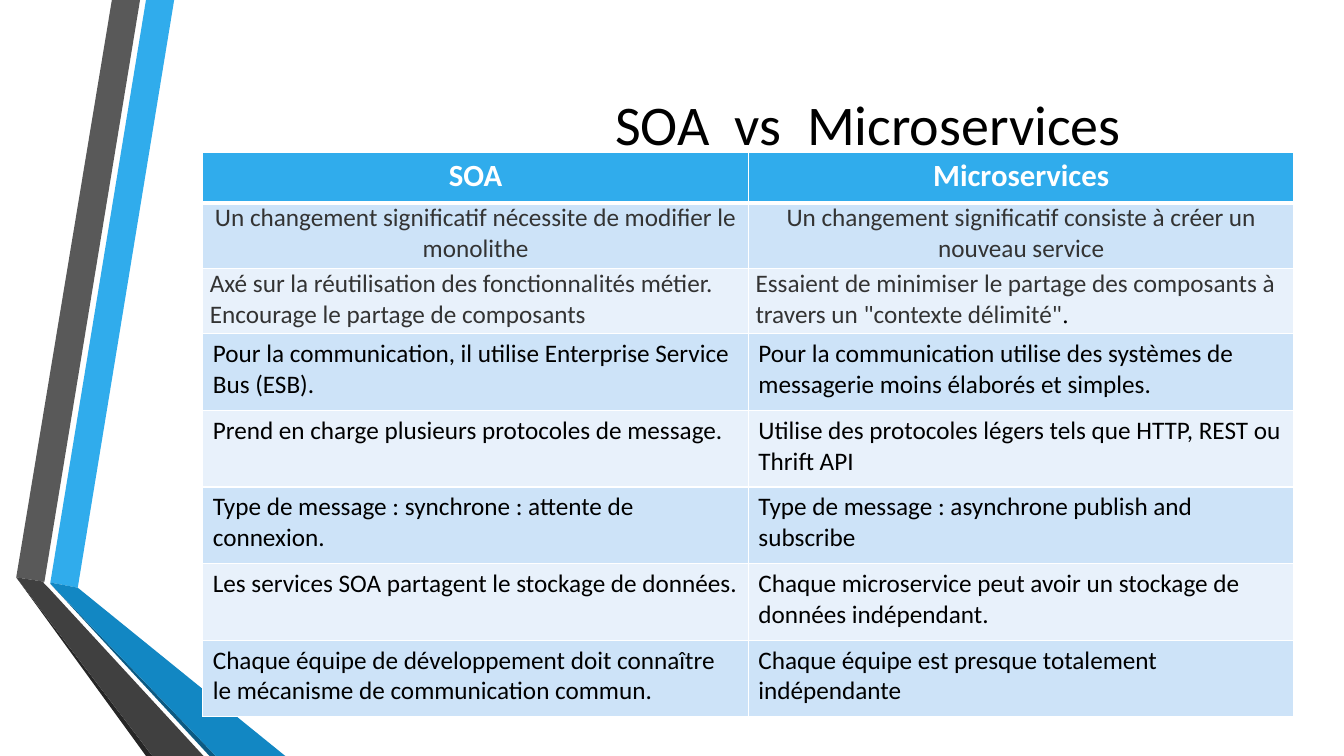
"""Builds a slide comparing SOA with microservices in a two-column table."""
import pptx
import pptx.util
import pptx.dml.color
import pptx.enum.text
import pptx.oxml
import pptx.oxml.ns

Cm = pptx.util.Cm
Pt = pptx.util.Pt
Align = pptx.enum.text.PP_ALIGN
Anchor = pptx.enum.text.MSO_ANCHOR

FONT = "Calibri"
BLACK, GREY, WHITE = "000000", "333333", "FFFFFF"
HEADER_FILL = "30ACEC"
BAND_FILLS = ["E8F1FB", "CDE3F8"]

TITLE_WORDS = ["SOA", "vs", "Microservices"]
HEADINGS = ["SOA", "Microservices"]
COMPARISONS = [
    ("Un changement significatif nécessite de modifier le monolithe",
     "Un changement significatif consiste à créer un nouveau service"),
    ("Axé sur la réutilisation des fonctionnalités métier. Encourage le partage de composants",
     "Essaient de minimiser le partage des composants à travers un \"contexte délimité\""),
    ("Pour la communication, il utilise Enterprise Service Bus (ESB).",
     "Pour la communication utilise des systèmes de messagerie moins élaborés et simples."),
    ("Prend en charge plusieurs protocoles de message.",
     "Utilise des protocoles légers tels que HTTP, REST ou Thrift API"),
    ("Type de message : synchrone : attente de connexion.",
     "Type de message : asynchrone publish and subscribe"),
    ("Les services SOA partagent le stockage de données.",
     "Chaque microservice peut avoir un stockage de données indépendant."),
    ("Chaque équipe de développement doit connaître le mécanisme de communication commun.",
     "Chaque équipe est presque totalement indépendante"),
]
ROW_HEIGHTS = [1.27] + [1.65] * 2 + [1.93] * 5
TABLE_LEFT, TABLE_TOP, TABLE_WIDTH = 5.11, 3.84, 27.5

RIBBONS = [
    ("30ACEC", [(1.27, 14.68), (1.96, 14.81), (4.39, 0), (3.68, 0)]),
    ("595959", [(3.53, 0), (2.82, 0), (0.41, 14.55), (1.12, 14.66)]),
    ("262626", [(0.41, 14.55), (3.68, 19.05), (3.84, 19.05)]),
    ("0C5A82", [(1.27, 14.71), (5.28, 19.05), (5.44, 19.05)]),
    ("1287C3", [(1.27, 14.71), (5.44, 19.05), (7.19, 19.05), (1.96, 14.81), (1.27, 14.68)]),
    ("404040", [(5.13, 19.05), (1.22, 14.81), (1.09, 14.68), (1.12, 14.66),
                (0.41, 14.55), (3.84, 19.05)]),
]


def color(value):
    return pptx.dml.color.RGBColor.from_string(value)


def add_run(paragraph, text, size, fill, bold=False, font=FONT):
    run = paragraph.add_run()
    run.text = text
    run.font.name = font
    run.font.size = Pt(size)
    run.font.bold = bold
    run.font.color.rgb = color(fill)
    return run


def add_ribbon(slide, fill, points):
    corners = [(Cm(x), Cm(y)) for x, y in points]
    builder = slide.shapes.build_freeform(*corners[0])
    builder.add_line_segments(corners[1:], close=True)
    shape = builder.convert_to_shape()
    shape.shadow.inherit = False
    shape.fill.solid()
    shape.fill.fore_color.rgb = color(fill)
    shape.line.fill.background()


def add_title(slide):
    title = slide.shapes.title
    title.left, title.top, title.width, title.height = Cm(4.45), Cm(1.98), Cm(27.84), Cm(2.26)
    frame = title.text_frame
    frame.word_wrap = True
    frame.auto_size = pptx.enum.text.MSO_AUTO_SIZE.NONE
    frame.vertical_anchor = Anchor.MIDDLE
    frame.margin_left = Cm(7.26)
    paragraph = frame.paragraphs[0]
    paragraph.alignment = Align.CENTER
    for index, word in enumerate(TITLE_WORDS):
        if index:
            gap = add_run(paragraph, " ", 40, BLACK)
            gap._r.get_or_add_rPr().set("spc", "900")
        add_run(paragraph, word, 40, BLACK)


def style_cell(cell, fill, widths):
    properties = cell._tc.get_or_add_tcPr()
    for side, width in widths.items():
        properties.append(pptx.oxml.parse_xml(
            f'<a:ln{side} {pptx.oxml.ns.nsdecls("a")} w="{Pt(width)}"><a:solidFill>'
            f'<a:srgbClr val="{WHITE}"/></a:solidFill></a:ln{side}>'))
    cell.fill.solid()
    cell.fill.fore_color.rgb = color(fill)
    cell.vertical_anchor = Anchor.TOP


def add_comparison(slide):
    rows = [HEADINGS] + COMPARISONS
    table = slide.shapes.add_table(
        len(rows), len(HEADINGS), Cm(TABLE_LEFT), Cm(TABLE_TOP),
        Cm(TABLE_WIDTH), Cm(sum(ROW_HEIGHTS))).table
    for column in table.columns:
        column.width = Cm(TABLE_WIDTH / len(HEADINGS))
    for row_index, texts in enumerate(rows):
        table.rows[row_index].height = Cm(ROW_HEIGHTS[row_index])
        header, compact = row_index == 0, row_index in (1, 2)
        for column_index, text in enumerate(texts):
            cell = table.cell(row_index, column_index)
            widths = {"L": 1, "R": 1, "T": 3 if row_index == 1 else 1, "B": 3 if header else 1}
            style_cell(cell, HEADER_FILL if header else BAND_FILLS[row_index % 2], widths)
            paragraph = cell.text_frame.paragraphs[0]
            paragraph.alignment = Align.CENTER if row_index < 2 else Align.LEFT
            if compact:
                cell.margin_left = cell.margin_right = Cm(0.18)
                cell.margin_top = cell.margin_bottom = 0
                paragraph.space_after = Pt(12)
            if header:
                add_run(paragraph, text, 22, WHITE, bold=True)
            else:
                add_run(paragraph, text, 18, GREY if compact else BLACK)
    ending = table.cell(2, 1).text_frame.paragraphs[0]
    add_run(ending, ".", 18, BLACK, font="Times New Roman")


def main():
    presentation = pptx.Presentation()
    presentation.slide_width, presentation.slide_height = Cm(33.87), Cm(19.05)
    slide = presentation.slides.add_slide(presentation.slide_layouts[5])
    for fill, points in RIBBONS:
        add_ribbon(slide, fill, points)
    add_title(slide)
    add_comparison(slide)
    presentation.save("out.pptx")


if __name__ == "__main__":
    main()
